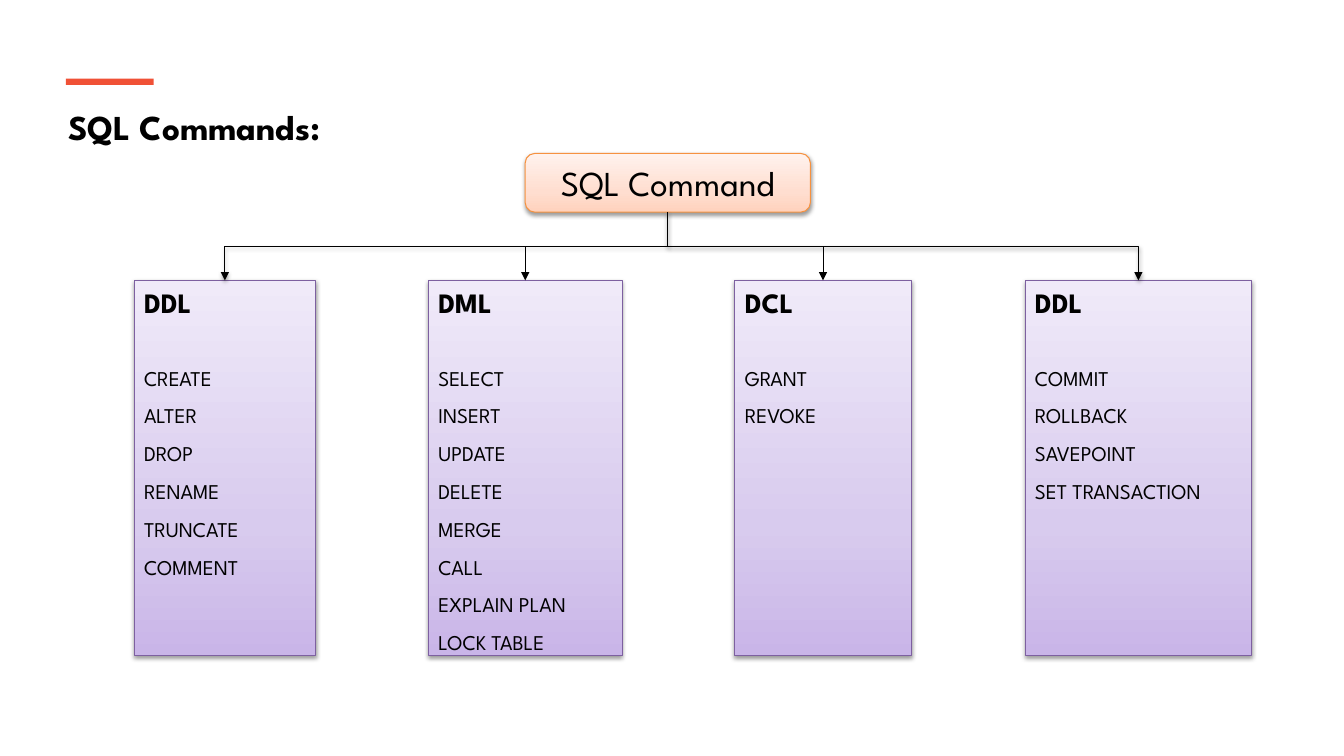
from pptx import Presentation
from pptx.dml.color import RGBColor
from pptx.enum.shapes import MSO_CONNECTOR, MSO_SHAPE
from pptx.enum.text import MSO_ANCHOR, MSO_AUTO_SIZE, PP_ALIGN
from pptx.oxml import parse_xml
from pptx.oxml.ns import nsdecls, qn
from pptx.util import Pt

RECT, ROUNDED = MSO_SHAPE.RECTANGLE, MSO_SHAPE.ROUNDED_RECTANGLE
ELBOW = MSO_CONNECTOR.ELBOW
LEFT, CENTER, JUSTIFY = PP_ALIGN.LEFT, PP_ALIGN.CENTER, PP_ALIGN.JUSTIFY
TOP, MIDDLE = MSO_ANCHOR.TOP, MSO_ANCHOR.MIDDLE
GROW = MSO_AUTO_SIZE.SHAPE_TO_FIT_TEXT

TITLE = "SQL Commands:"
ROOT = "SQL Command"
# heading, commands, left, width, connector weight, connector shadow
GROUPS = [
    ("DDL", ["CREATE", "ALTER", "DROP", "RENAME", "TRUNCATE", "COMMENT"],
     95.8, 129.6, 0.5, True),
    ("DML", ["SELECT", "INSERT", "UPDATE", "DELETE", "MERGE", "CALL",
             "EXPLAIN PLAN", "LOCK TABLE"], 306, 138.4, 0.5, False),
    ("DCL", ["GRANT", "REVOKE"], 524.9, 126, 0.75, False),
    ("DDL", ["COMMIT", "ROLLBACK", "SAVEPOINT", "SET TRANSACTION"],
     732.2, 162, 1, True),
]

THEME = {
    "font": "League Spartan",
    "text": "000000",
    "accent": "F05136",
    "root": {"stops": [(0, "FFD2BD"), (35, "FFDED0"), (100, "FFF2ED")],
             "line": "F69240"},
    "group": {"stops": [(0, "C9B5E8"), (35, "D8CBEE"), (100, "F0EAF9")],
              "line": "7D60A0"},
    "title_size": 25,
    "heading_size": 20,
    "command_size": 15,
}

ROOT_LEFT, ROOT_TOP, ROOT_WIDTH, ROOT_HEIGHT = 375.1, 109.6, 203.8, 42
GROUP_TOP, GROUP_HEIGHT = 200.3, 268
HEADING_GAP = 24


def color(name):
    return RGBColor.from_string(name)


def write(p, text, size, bold=False, align=LEFT):
    p.text = text
    p.alignment = align
    font = p.runs[0].font
    font.name, font.size, font.bold = THEME["font"], Pt(size), bold
    font.color.rgb = color(THEME["text"])


def add_shadow(sp):
    spPr = sp._element.spPr
    for old in spPr.findall(qn("a:effectLst")):
        spPr.remove(old)
    spPr.append(parse_xml(
        f'<a:effectLst {nsdecls("a")}><a:outerShdw blurRad="{Pt(3.1)}" '
        f'dist="{Pt(1.6)}" dir="5400000" rotWithShape="0">'
        '<a:srgbClr val="000000"><a:alpha val="38000"/></a:srgbClr>'
        '</a:outerShdw></a:effectLst>'))


def add_box(slide, kind, left, top, width, height, style, anchor):
    """Add a box with a vertical gradient, thin outline and soft shadow."""
    sp = slide.shapes.add_shape(kind, Pt(left), Pt(top), Pt(width), Pt(height))
    sp.fill.gradient()
    sp.fill.gradient_angle = 90
    stops = sp._element.spPr.find(qn("a:gradFill")).find(qn("a:gsLst"))
    for old in list(stops):
        stops.remove(old)
    for pos, rgb in style["stops"]:
        stops.append(parse_xml(f'<a:gs {nsdecls("a")} pos="{pos * 1000}">'
                               f'<a:srgbClr val="{rgb}"/></a:gs>'))
    sp.line.color.rgb = color(style["line"])
    sp.line.width = Pt(0.75)
    add_shadow(sp)
    sp.text_frame.word_wrap = True
    sp.text_frame.vertical_anchor = anchor
    return sp


def add_branch(slide, x1, y1, x2, y2, weight, shadow):
    """Add an elbow arrow that runs down, across and down again."""
    drop, reach = y2 - y1, abs(x2 - x1)
    mid_x, mid_y = (x1 + x2) / 2, (y1 + y2) / 2
    near, far = mid_x - drop / 2, mid_x + drop / 2
    rightward = x2 > x1
    begin, end = (far, near) if rightward else (near, far)
    # The preset elbow runs sideways, so it is turned a quarter about its centre.
    cn = slide.shapes.add_connector(ELBOW, Pt(begin), Pt(mid_y - reach / 2),
                                    Pt(end), Pt(mid_y + reach / 2))
    spPr = cn._element.spPr
    spPr.find(qn("a:xfrm")).set("rot", "16200000" if rightward else "5400000")
    cn.line.color.rgb = color(THEME["text"])
    cn.line.width = Pt(weight)
    spPr.find(qn("a:ln")).append(
        parse_xml(f'<a:tailEnd {nsdecls("a")} type="triangle"/>'))
    if shadow:
        add_shadow(cn)
    else:
        spPr.append(parse_xml(f'<a:effectLst {nsdecls("a")}/>'))


def add_group(slide, heading, commands, left, width):
    sp = add_box(slide, RECT, left, GROUP_TOP, width, GROUP_HEIGHT,
                 THEME["group"], TOP)
    tf = sp.text_frame
    write(tf.paragraphs[0], heading, THEME["heading_size"], bold=True)
    for i, command in enumerate(commands):
        p = tf.add_paragraph()
        write(p, command, THEME["command_size"])
        p.line_spacing = 1.5
        if i == 0:
            p.space_before = Pt(HEADING_GAP)


def main():
    prs = Presentation()
    prs.slide_width, prs.slide_height = Pt(960), Pt(540)
    slide = prs.slides.add_slide(prs.slide_layouts[6])

    tf = slide.shapes.add_textbox(Pt(41.8), Pt(72), Pt(870.5), Pt(37.4)).text_frame
    tf.word_wrap = True
    tf.auto_size = GROW
    write(tf.paragraphs[0], TITLE, THEME["title_size"], True, JUSTIFY)

    bar = slide.shapes.add_shape(RECT, Pt(47), Pt(56.2), Pt(62.8), Pt(4.4))
    bar.shadow.inherit = False
    bar.fill.solid()
    bar.fill.fore_color.rgb = color(THEME["accent"])
    bar.line.fill.background()

    root = add_box(slide, ROUNDED, ROOT_LEFT, ROOT_TOP, ROOT_WIDTH, ROOT_HEIGHT,
                   THEME["root"], MIDDLE)
    write(root.text_frame.paragraphs[0], ROOT, THEME["title_size"], align=CENTER)

    for heading, commands, left, width, _, _ in GROUPS:
        add_group(slide, heading, commands, left, width)
    for _, _, left, width, weight, shadow in GROUPS:
        add_branch(slide, ROOT_LEFT + ROOT_WIDTH / 2, ROOT_TOP + ROOT_HEIGHT,
                   left + width / 2, GROUP_TOP, weight, shadow)

    prs.save("out.pptx")


if __name__ == "__main__":
    main()
